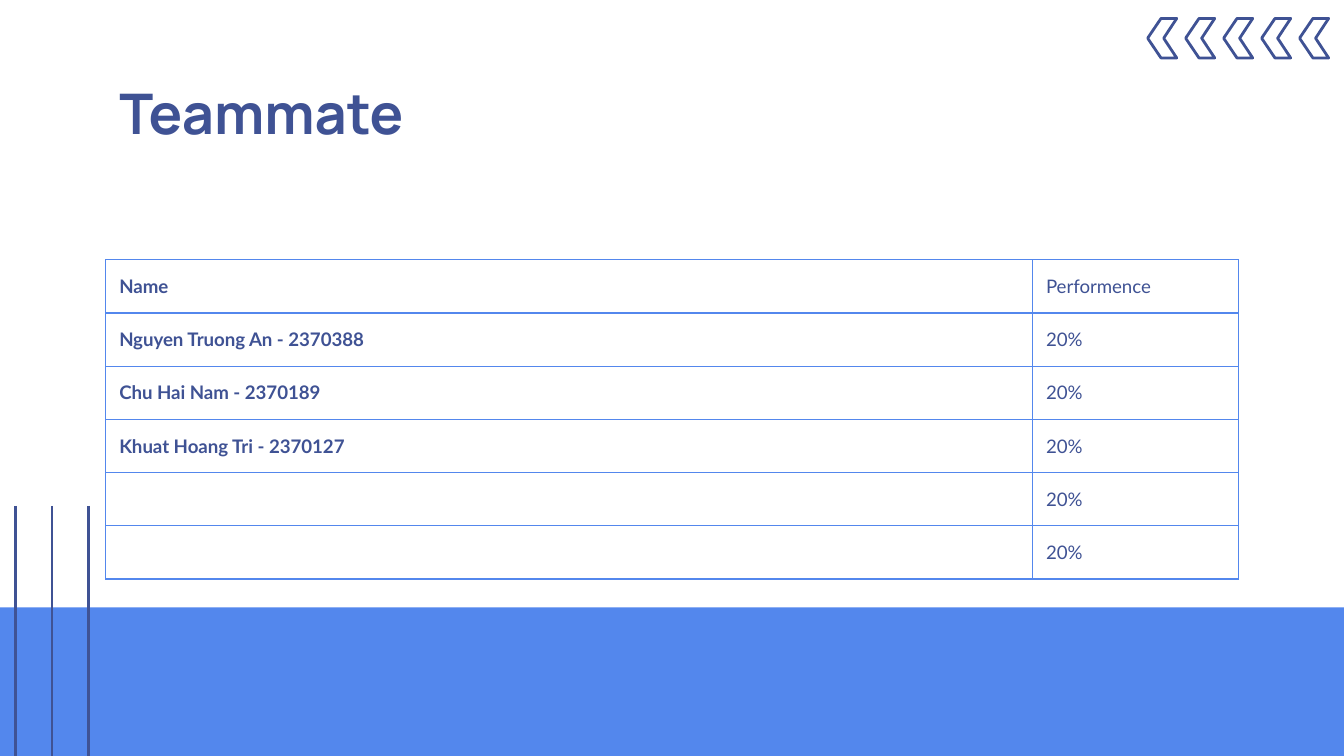
from lxml import etree
from pptx import Presentation
from pptx.dml.color import RGBColor
from pptx.enum import shapes, text
from pptx.oxml import ns
from pptx.util import Pt

NAVY = RGBColor(0x3F, 0x52, 0x94)
BLUE = RGBColor(0x53, 0x87, 0xED)
WHITE = RGBColor(0xFF, 0xFF, 0xFF)

SLIDE_WIDTH, SLIDE_HEIGHT = 720, 405
MARGIN_LEFT = 56.7
INSET = 7.2
COLUMN_WIDTHS = (496.5, 110.3)
ROW_HEIGHT = 28.5
ROWS = [
    ("Name", "Performence"),
    ("Nguyen Truong An - 2370388", "20%"),
    ("Chu Hai Nam - 2370189", "20%"),
    ("Khuat Hoang Tri - 2370127", "20%"),
    ("", "20%"),
    ("", "20%"),
]
CHEVRON = [(15.4, 0), (8.4, 10.6), (15.4, 21.2), (7, 21.2),
           (0, 10.9), (0, 10.3), (7, 0)]


def write_text(frame, content, *, font, size, bold=False, color=NAVY, space_after=0):
    paragraph = frame.paragraphs[0]
    paragraph.alignment = text.PP_ALIGN.LEFT
    paragraph.space_after = Pt(space_after)
    run = paragraph.add_run()
    run.text = content
    run.font.name = font
    run.font.size = Pt(size)
    run.font.bold = bold
    run.font.color.rgb = color


def add_band(slide, top):
    band = slide.shapes.add_shape(
        shapes.MSO_SHAPE.RECTANGLE, 0, Pt(top), Pt(SLIDE_WIDTH), Pt(SLIDE_HEIGHT - top))
    band.shadow.inherit = False
    band.fill.solid()
    band.fill.fore_color.rgb = BLUE
    band.line.fill.background()


def add_chevron(slide, left, top):
    points = [(Pt(left + x), Pt(top + y)) for x, y in CHEVRON]
    builder = slide.shapes.build_freeform(*points[0], scale=1.0)
    builder.add_line_segments(points[1:], close=True)
    chevron = builder.convert_to_shape()
    chevron.shadow.inherit = False
    chevron.fill.background()
    chevron.line.color.rgb = NAVY
    chevron.line.width = Pt(1.5)


def add_vertical_line(slide, x, top):
    line = slide.shapes.add_connector(
        shapes.MSO_CONNECTOR.STRAIGHT, Pt(x), Pt(top), Pt(x), Pt(SLIDE_HEIGHT))
    line.line.color.rgb = NAVY
    line.line.width = Pt(1.5)
    etree.SubElement(line._element.spPr, ns.qn("a:effectLst"))


def add_title(slide, content):
    title = slide.shapes.title
    title.left, title.top = Pt(MARGIN_LEFT), Pt(35)
    title.width, title.height = Pt(sum(COLUMN_WIDTHS)), Pt(45)
    frame = title.text_frame
    frame.word_wrap = True
    frame.auto_size = text.MSO_AUTO_SIZE.NONE
    frame.vertical_anchor = text.MSO_ANCHOR.TOP
    frame.margin_left = frame.margin_right = Pt(INSET)
    frame.margin_top = frame.margin_bottom = Pt(INSET)
    write_text(frame, content, font="Manrope", size=30, bold=True)


def set_borders(cell, color, width):
    properties = cell._tc.get_or_add_tcPr()
    for side in ("lnL", "lnR", "lnT", "lnB"):
        border = etree.SubElement(properties, ns.qn(f"a:{side}"), w=str(Pt(width)))
        fill = etree.SubElement(border, ns.qn("a:solidFill"))
        etree.SubElement(fill, ns.qn("a:srgbClr"), val=str(color))


def add_team_table(slide, top):
    table = slide.shapes.add_table(
        len(ROWS), len(COLUMN_WIDTHS), Pt(MARGIN_LEFT), Pt(top),
        Pt(sum(COLUMN_WIDTHS)), Pt(ROW_HEIGHT * len(ROWS))).table
    table.first_row = table.horz_banding = False
    for column, width in zip(table.columns, COLUMN_WIDTHS):
        column.width = Pt(width)
    for row, values in zip(table.rows, ROWS):
        row.height = Pt(ROW_HEIGHT)
        for index, (cell, value) in enumerate(zip(row.cells, values)):
            set_borders(cell, BLUE, 0.75)
            cell.fill.background()
            cell.vertical_anchor = text.MSO_ANCHOR.MIDDLE
            cell.margin_left = cell.margin_right = Pt(INSET)
            cell.margin_top = cell.margin_bottom = 0
            if value:
                write_text(cell.text_frame, value, font="Lato", size=10,
                           bold=index == 0, space_after=16 * index)


def main():
    presentation = Presentation()
    presentation.slide_width = Pt(SLIDE_WIDTH)
    presentation.slide_height = Pt(SLIDE_HEIGHT)
    slide = presentation.slides.add_slide(presentation.slide_layouts[5])
    slide.background.fill.solid()
    slide.background.fill.fore_color.rgb = WHITE

    add_band(slide, 325.4)
    for index in range(5):
        add_chevron(slide, 615 + 20.35 * index, 9.9)
    for index in range(3):
        add_vertical_line(slide, 8.4 + 19.5 * index, 271)
    add_title(slide, "Teammate")
    add_team_table(slide, 139.2)
    presentation.save("out.pptx")


if __name__ == "__main__":
    main()
